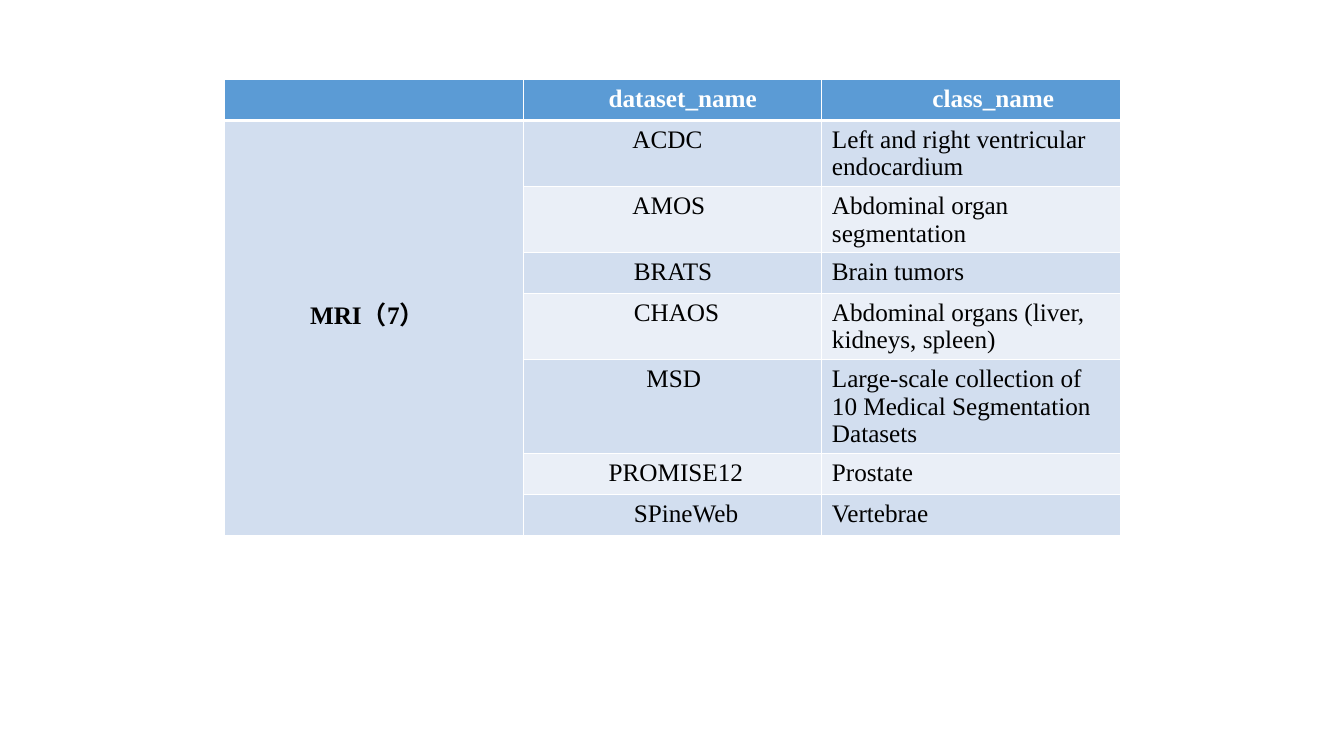
import lxml.etree
import pptx
import pptx.dml.color
import pptx.enum.text
import pptx.oxml.ns
import pptx.util

COLORS = {
    "header": "5B9BD5",
    "dark_band": "D2DEEF",
    "light_band": "EAEFF7",
    "border": "FFFFFF",
    "header_text": "FFFFFF",
    "text": "000000",
}
HEADERS = [("", 7.2), ("dataset_name", 61), ("class_name", 79)]
DATASETS = [
    ("ACDC", 78, "Left and right ventricular endocardium", 47.2),
    ("AMOS", 78, "Abdominal organ segmentation", 47.2),
    ("BRATS", 79, "Brain tumors", 29.2),
    ("CHAOS", 79, "Abdominal organs (liver, kidneys, spleen)", 47.2),
    ("MSD", 88, "Large-scale collection of 10 Medical Segmentation Datasets", 67.2),
    ("PROMISE12", 61, "Prostate", 29.2),
    ("SPineWeb", 79, "Vertebrae", 29.2),
]
HEADER_HEIGHT = 29.2
COLUMN_WIDTH = 213.3


def color(name):
    return pptx.dml.color.RGBColor.from_string(COLORS[name])


def write(text_frame, text, font="Times New Roman", size=18, bold=False, ink="text"):
    paragraph = text_frame.paragraphs[0]
    paragraph.font.size = pptx.util.Pt(size)
    if not text:
        return
    run = paragraph.add_run()
    run.text = text
    run.font.name = font
    run.font.size = pptx.util.Pt(size)
    run.font.bold = bold
    run.font.color.rgb = color(ink)


class SlideBuilder:
    def __init__(self, slide, font="Times New Roman", size=18):
        self.slide = slide
        self.font = font
        self.size = size

    def table(self, left, top, column_widths, row_heights):
        frame = self.slide.shapes.add_table(
            len(row_heights), len(column_widths),
            pptx.util.Pt(left), pptx.util.Pt(top),
            pptx.util.Pt(sum(column_widths)), pptx.util.Pt(sum(row_heights)),
        )
        table = frame.table
        table.first_row = False
        table.horz_banding = False
        for column, width in zip(table.columns, column_widths):
            column.width = pptx.util.Pt(width)
        for row, height in zip(table.rows, row_heights):
            row.height = pptx.util.Pt(height)
        return table

    def borders(self, cell, **widths):
        properties = cell._tc.get_or_add_tcPr()
        for side in ("L", "R", "T", "B"):
            line = lxml.etree.SubElement(
                properties, pptx.oxml.ns.qn(f"a:ln{side}"),
                w=str(pptx.util.Pt(widths.get(side, 1))),
            )
            fill = lxml.etree.SubElement(line, pptx.oxml.ns.qn("a:solidFill"))
            lxml.etree.SubElement(
                fill, pptx.oxml.ns.qn("a:srgbClr"), val=COLORS["border"]
            )

    def cell(self, cell, text, fill, indent=7.2, border_widths=None, **text_format):
        self.borders(cell, **(border_widths or {}))
        cell.fill.solid()
        cell.fill.fore_color.rgb = color(fill)
        cell.margin_left = pptx.util.Pt(indent)
        write(cell.text_frame, text, font=self.font, size=self.size, **text_format)


def main():
    presentation = pptx.Presentation()
    presentation.slide_width = pptx.util.Pt(960)
    presentation.slide_height = pptx.util.Pt(540)
    slide = presentation.slides.add_slide(presentation.slide_layouts[6])
    builder = SlideBuilder(slide)

    heights = [HEADER_HEIGHT] + [dataset[3] for dataset in DATASETS]
    table = builder.table(160.5, 56.9, [COLUMN_WIDTH] * len(HEADERS), heights)

    for column, (title, indent) in enumerate(HEADERS):
        builder.cell(table.cell(0, column), title, "header", indent,
                     border_widths={"B": 3}, bold=True, ink="header_text")

    for row, (dataset, indent, classes, _) in enumerate(DATASETS, start=1):
        band = "dark_band" if row % 2 else "light_band"
        top_border = {"T": 3} if row == 1 else None
        modality = "MRI（7）" if row == 1 else ""
        builder.cell(table.cell(row, 0), modality, "dark_band", 61,
                     border_widths=top_border, bold=True)
        builder.cell(table.cell(row, 1), dataset, band, indent,
                     border_widths=top_border)
        builder.cell(table.cell(row, 2), classes, band, border_widths=top_border)

    modality_cell = table.cell(1, 0)
    modality_cell.merge(table.cell(len(DATASETS), 0))
    modality_cell.vertical_anchor = pptx.enum.text.MSO_ANCHOR.MIDDLE
    modality_cell.margin_bottom = pptx.util.Pt(24)

    presentation.save("out.pptx")


if __name__ == "__main__":
    main()
